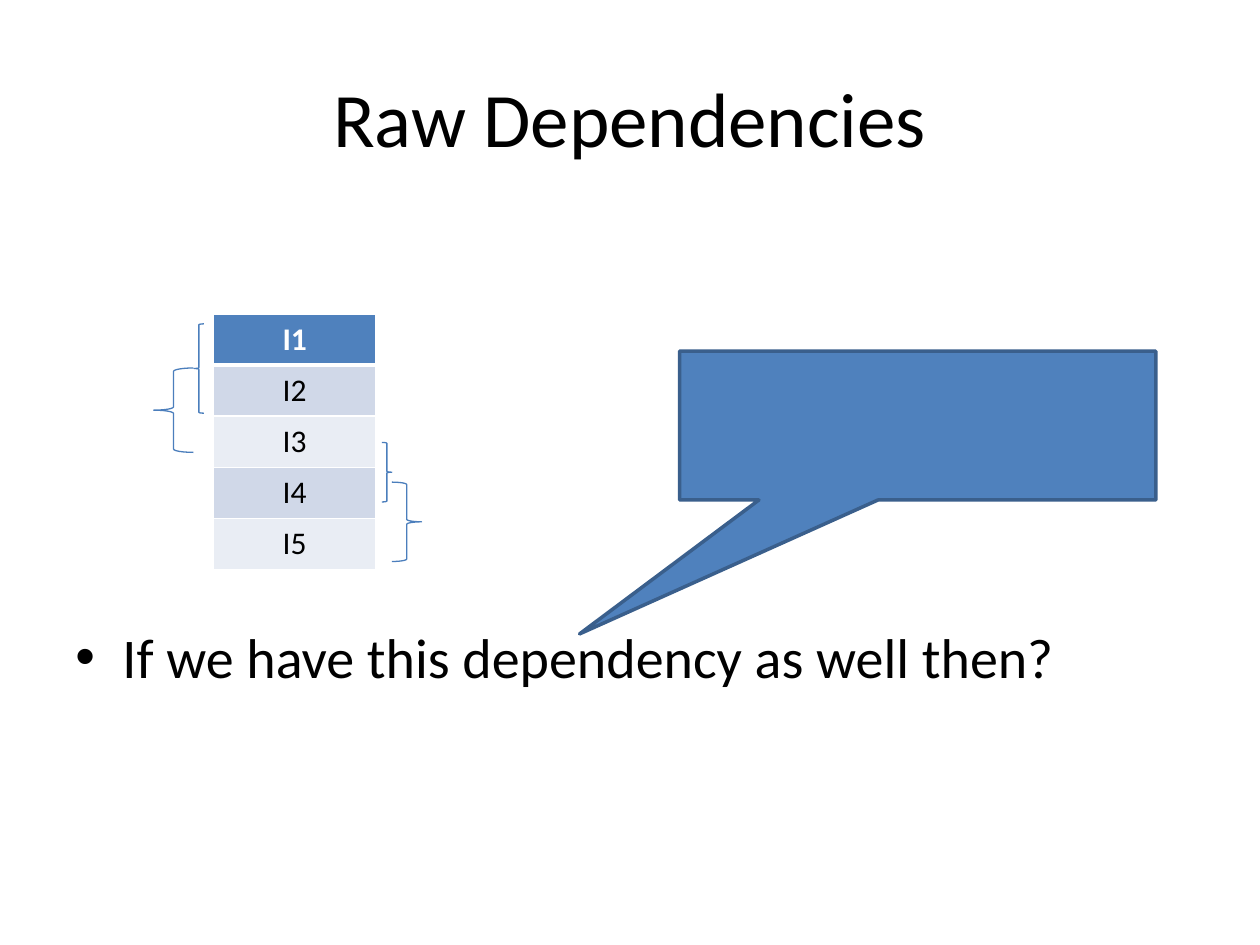
from lxml.etree import SubElement
from pptx import Presentation
from pptx.dml.color import RGBColor
from pptx.enum.shapes import MSO_SHAPE
from pptx.enum.text import MSO_ANCHOR, PP_ALIGN
from pptx.oxml.ns import qn
from pptx.util import Cm, Pt

TITLE = "Raw Dependencies"
QUESTION = "If we have this dependency as well then?"
INSTRUCTIONS = ["I1", "I2", "I3", "I4", "I5"]

# Braces joining dependent instructions: shape, (left, top, width, height) in cm
BRACES = [
    (MSO_SHAPE.LEFT_BRACE, (3.91, 6.53, 0.2, 1.8)),
    (MSO_SHAPE.RIGHT_BRACE, (7.7, 8.92, 0.2, 1.2)),
    (MSO_SHAPE.RIGHT_BRACE, (7.9, 9.72, 0.6, 1.6)),
    (MSO_SHAPE.LEFT_BRACE, (3.1, 7.42, 0.8, 1.7)),
]
CALLOUT = (13.7, 7.08, 9.6, 3)
CALLOUT_TIP = (-0.71, 1.4)
TABLE_LEFT, TABLE_TOP, TABLE_WIDTH, ROW_HEIGHT = 4.3, 6.33, 3.28, 1.03

THEME = {
    "font": "Calibri",
    "text": "000000",
    "light": "FFFFFF",
    "accent": "4F81BD",
    "bands": ["D0D8E8", "E9EDF4"],
    "brace": "4B7EBC",
    "callout_line": "3A5F8C",
    "title_size": 44,
    "body_size": 32,
    "table_size": 18,
}


def style_text(paragraph, size, color=THEME["text"], bold=False):
    for span in paragraph.runs:
        span.font.name = THEME["font"]
        span.font.size = Pt(size)
        span.font.bold = bold
        span.font.color.rgb = RGBColor.from_string(color)


def add_text(page, place, text, size):
    box = page.shapes.add_textbox(*map(Cm, place))
    box.text_frame.word_wrap = True
    box.text_frame.text = text
    style_text(box.text_frame.paragraphs[0], size)
    return box.text_frame


def add_bullet(paragraph, indent):
    properties = paragraph._p.get_or_add_pPr()
    properties.set("marL", str(Cm(indent)))
    properties.set("indent", str(-Cm(indent)))
    SubElement(properties, qn("a:buFont"), typeface="Arial")
    SubElement(properties, qn("a:buChar"), char="•")


def add_outlined(page, kind, place, color, width):
    shape = page.shapes.add_shape(kind, *map(Cm, place))
    shape.shadow.inherit = False
    shape.line.color.rgb = RGBColor.from_string(color)
    shape.line.width = Pt(width)
    return shape


def set_borders(cell, top, bottom):
    """Draw light cell borders; must run before the cell gets its fill."""
    properties = cell._tc.get_or_add_tcPr()
    for side, width in (("L", 1), ("R", 1), ("T", top), ("B", bottom)):
        line = SubElement(properties, qn(f"a:ln{side}"), w=str(Pt(width)))
        fill = SubElement(line, qn("a:solidFill"))
        SubElement(fill, qn("a:srgbClr"), val=THEME["light"])


def add_instruction_table(page):
    count = len(INSTRUCTIONS)
    place = (TABLE_LEFT, TABLE_TOP, TABLE_WIDTH, ROW_HEIGHT * count)
    table = page.shapes.add_table(count, 1, *map(Cm, place)).table
    for index, name in enumerate(INSTRUCTIONS):
        header = index == 0
        cell = table.cell(index, 0)
        set_borders(cell, 3 if index == 1 else 1, 3 if header else 1)
        cell.fill.solid()
        band = THEME["accent"] if header else THEME["bands"][(index - 1) % 2]
        cell.fill.fore_color.rgb = RGBColor.from_string(band)
        cell.text_frame.text = name
        paragraph = cell.text_frame.paragraphs[0]
        paragraph.alignment = PP_ALIGN.CENTER
        color = THEME["light"] if header else THEME["text"]
        style_text(paragraph, THEME["table_size"], color, header)


def main():
    deck = Presentation()
    deck.slide_width, deck.slide_height = Cm(25.4), Cm(19.05)
    page = deck.slides.add_slide(deck.slide_layouts[6])

    title = add_text(page, (1.27, 0.76, 22.86, 3.18), TITLE, THEME["title_size"])
    title.vertical_anchor = MSO_ANCHOR.MIDDLE
    title.paragraphs[0].alignment = PP_ALIGN.CENTER

    body = add_text(page, (1.27, 4.45, 22.86, 12.57), QUESTION, THEME["body_size"])
    body.margin_top = Cm(8.1)
    add_bullet(body.paragraphs[0], 0.95)

    add_instruction_table(page)

    for kind, place in BRACES:
        brace = add_outlined(page, kind, place, THEME["brace"], 0.75)
        brace.fill.background()

    callout = add_outlined(page, MSO_SHAPE.RECTANGULAR_CALLOUT, CALLOUT,
                           THEME["callout_line"], 2)
    callout.fill.solid()
    callout.fill.fore_color.rgb = RGBColor.from_string(THEME["accent"])
    callout.adjustments[0], callout.adjustments[1] = CALLOUT_TIP

    deck.save("out.pptx")


if __name__ == "__main__":
    main()
